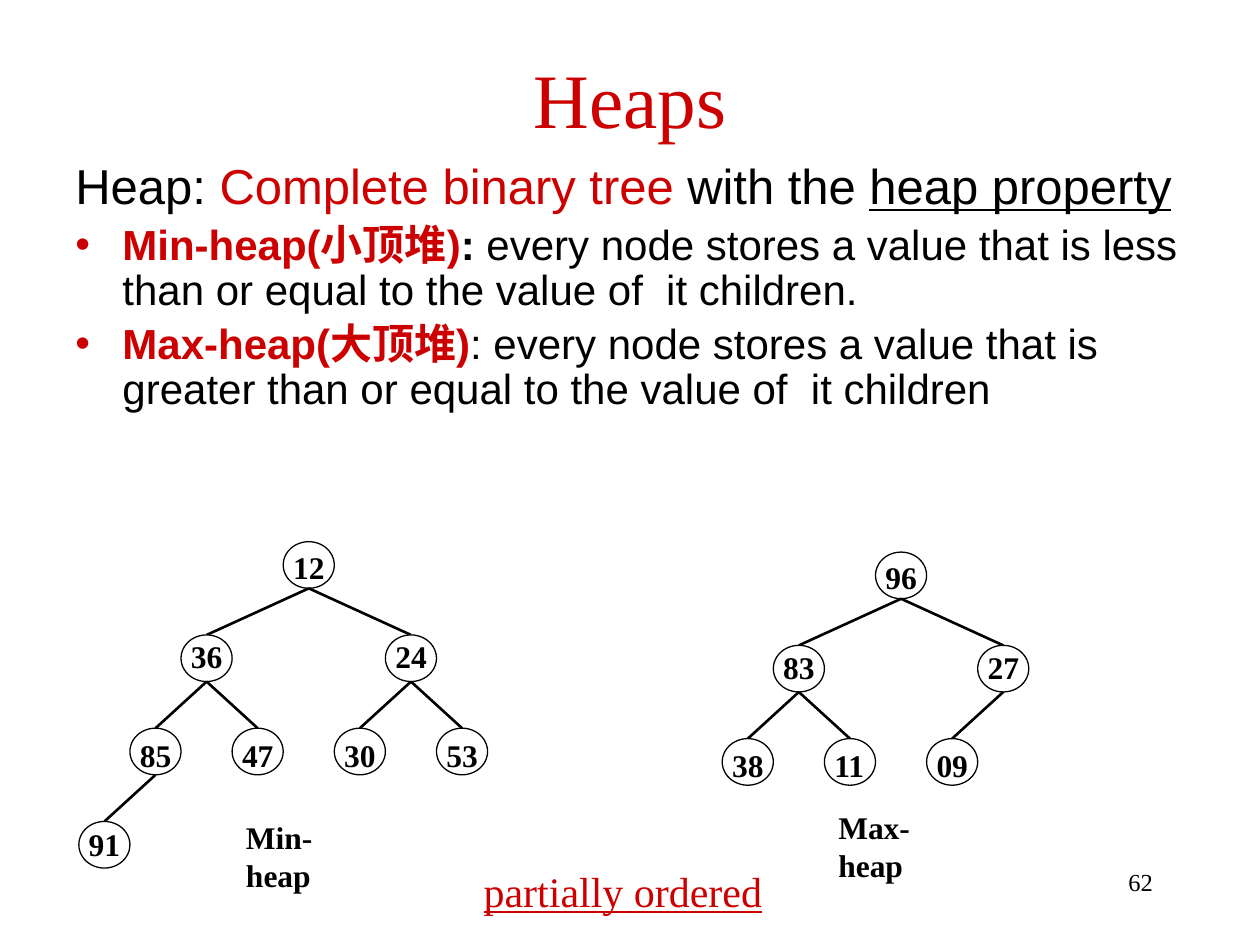
from lxml import etree
from pptx import Presentation
from pptx.dml.color import RGBColor
from pptx.enum.shapes import MSO_CONNECTOR, MSO_SHAPE
from pptx.enum.text import MSO_ANCHOR, PP_ALIGN
from pptx.oxml.ns import qn
from pptx.util import Cm, Pt

LEFT, CENTER, RIGHT = PP_ALIGN.LEFT, PP_ALIGN.CENTER, PP_ALIGN.RIGHT
TOP, MIDDLE = MSO_ANCHOR.TOP, MSO_ANCHOR.MIDDLE
OVAL, STRAIGHT = MSO_SHAPE.OVAL, MSO_CONNECTOR.STRAIGHT

COLORS = {"red": "CC0000", "black": "000000", "white": "FFFFFF"}
SERIF, SANS = "Times New Roman", "Arial"

NODE_W, NODE_H, LEVEL_H = 1.03, 0.94, 1.88
BRANCH = [0, 2.06, 1.03, 1.03]
LABEL_DX = -0.05
LABEL_DY = [0, -0.08, 0.03, -0.05]


def color(name):
    return RGBColor.from_string(COLORS[name])


def add_run(p, text, size, font=SERIF, fill="black", bold=False, underline=False):
    r = p.add_run()
    r.text = text
    r.font.name = font
    r.font.size = Pt(size)
    r.font.bold = bold
    r.font.underline = underline
    r.font.color.rgb = color(fill)


def add_frame(shapes, x, y, w, h, anchor=MIDDLE, wrap=False):
    tf = shapes.add_textbox(Cm(x), Cm(y), Cm(w), Cm(h)).text_frame
    tf.word_wrap = wrap
    tf.vertical_anchor = anchor
    return tf


def add_text(shapes, x, y, w, h, text, size=18, align=LEFT, anchor=MIDDLE, wrap=False, **fmt):
    p = add_frame(shapes, x, y, w, h, anchor, wrap).paragraphs[0]
    p.alignment = align
    add_run(p, text, size, **fmt)


def add_definitions(slide, x, y, w, h):
    heading = [("Heap: ", {}), ("Complete binary tree", {"fill": "red"}),
               (" with the ", {}), ("heap property", {"underline": True})]
    min_heap = [("Min-heap(小顶堆)", {"fill": "red", "bold": True}), (":", {"bold": True}),
                (" every node stores a value that is less than or equal to "
                 "the value of  it children.", {})]
    max_heap = [("Max-heap(大顶堆)", {"fill": "red", "bold": True}),
                (": every node stores a value that is greater than or equal to "
                 "the value of  it children", {})]
    tf = add_frame(slide.shapes, x, y, w, h, TOP, True)
    for i, runs in enumerate([heading, min_heap, max_heap]):
        p = tf.add_paragraph() if i else tf.paragraphs[0]
        p.line_spacing = 0.9
        pPr = p._p.get_or_add_pPr()
        pPr.set("marL", str(Cm(0.95)))
        pPr.set("indent", str(-Cm(0.95)))
        if i:
            p.space_before = Pt(4.8)
            clr = etree.SubElement(pPr, qn("a:buClr"))
            etree.SubElement(clr, qn("a:srgbClr"), val=COLORS["red"])
            etree.SubElement(pPr, qn("a:buFont"), typeface=SANS)
            etree.SubElement(pPr, qn("a:buChar"), char="•")
        else:
            etree.SubElement(pPr, qn("a:buNone"))
        for text, fmt in runs:
            add_run(p, text, 24 if i else 28, font=SANS, **fmt)


def add_node(shapes, x, y):
    s = shapes.add_shape(OVAL, Cm(x), Cm(y), Cm(NODE_W), Cm(NODE_H))
    s.shadow.inherit = False
    s.fill.solid()
    s.fill.fore_color.rgb = color("white")
    s.line.color.rgb = color("black")
    s.line.width = Pt(0.75)


def add_edge(shapes, parent, child):
    (x1, y1), (x2, y2) = parent, child
    c = shapes.add_connector(STRAIGHT, Cm(x1 + NODE_W / 2), Cm(y1 + NODE_H),
                             Cm(x2 + NODE_W / 2), Cm(y2))
    c.line.color.rgb = color("black")
    c.line.width = Pt(1.5)
    etree.SubElement(c._element.spPr, qn("a:effectLst"))


def add_heap(slide, x, y, values, caption, caption_y):
    shapes = slide.shapes.add_group_shape().shapes
    spots = []
    for i, value in enumerate(values):
        level = (i + 1).bit_length() - 1
        if i:
            parent = spots[(i - 1) // 2]
            side = -1 if i % 2 else 1
            spot = (parent[0] + side * BRANCH[level], y + level * LEVEL_H)
            add_edge(shapes, parent, spot)
        else:
            spot = (x, y)
        spots.append(spot)
        add_node(shapes, *spot)
        add_text(shapes, spot[0] + LABEL_DX, spot[1] + LABEL_DY[level], 1.3, 1.02,
                 value, bold=True)
    add_text(slide.shapes, x - 1, y + caption_y, 2.5, 1.02, caption, bold=True)


def main():
    prs = Presentation()
    prs.slide_width, prs.slide_height = Cm(25.4), Cm(19.05)
    slide = prs.slides.add_slide(prs.slide_layouts[6])
    add_text(slide.shapes, 1.27, 0.71, 22.86, 2.54, "Heaps", size=44,
             align=CENTER, wrap=True, fill="red")
    add_definitions(slide, 1.27, 3.15, 23.24, 7)
    add_heap(slide, 17.65, 11.13, ["96", "83", "27", "38", "11", "09"], "Max-heap", 5.41)
    add_heap(slide, 5.71, 10.92, ["12", "36", "24", "85", "47", "30", "53", "91"],
             "Min-heap", 5.82)
    add_text(slide.shapes, 9.5, 17.32, 6.12, 1.27, "partially ordered", size=24,
             anchor=TOP, fill="red", underline=True)
    add_text(slide.shapes, 18.21, 17.35, 5.28, 1.27, "62", size=14,
             align=RIGHT, anchor=TOP, wrap=True)
    prs.save("out.pptx")


if __name__ == "__main__":
    main()
